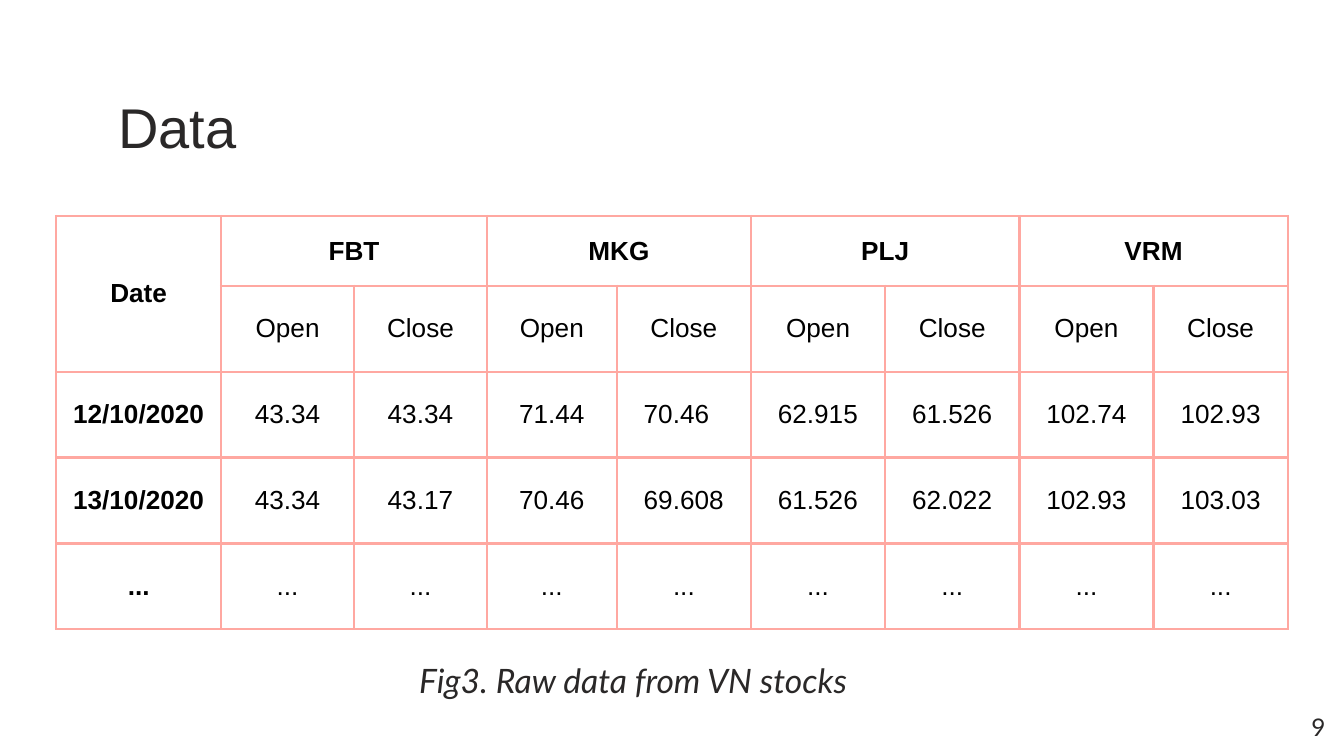
import dataclasses

import lxml.etree
import pptx
import pptx.dml.color
import pptx.enum.text
import pptx.oxml.ns
import pptx.table
import pptx.util

Pt = pptx.util.Pt
Align = pptx.enum.text.PP_ALIGN
Anchor = pptx.enum.text.MSO_ANCHOR

COLORS = {"ink": "2A2828", "black": "000000", "white": "FFFFFF", "border": "FFA8A1"}
COLUMN_WIDTHS = [88.4, 71.2, 71.2, 69.6] + [71.9] * 5
ROW_HEIGHTS = [37.5] + [46] * 4
STOCKS = ["FBT", "MKG", "PLJ", "VRM"]
LEFT_ALIGNED_COLUMNS = (4, 5, 6)
PRICES = [
    ["12/10/2020", "43.34", "43.34", "71.44", "70.46", "62.915", "61.526", "102.74", "102.93"],
    ["13/10/2020", "43.34", "43.17", "70.46", "69.608", "61.526", "62.022", "102.93", "103.03"],
]


@dataclasses.dataclass
class Style:
    size: float
    font: str
    color: str
    bold: bool = False
    italic: bool = False


@dataclasses.dataclass
class Label:
    text: str
    left: float
    top: float
    width: float
    height: float
    style: Style
    align: Align = Align.LEFT
    anchor: Anchor = Anchor.TOP
    line_spacing: float = 1.0
    space_after: float = 0


LABELS = [
    Label("Data", 56.2, 42.5, 304.6, 43.2, Style(30, "Arial", "ink")),
    Label("Fig3. Raw data from VN stocks ", 167.8, 343.4, 347, 36,
          Style(18, "Lato", "ink", italic=True), Align.CENTER, line_spacing=1.15, space_after=16),
    Label("9", 673.9, 373.7, 43.2, 31, Style(13, "Lato", "ink"), Align.RIGHT, Anchor.MIDDLE),
]


def rgb(name: str) -> pptx.dml.color.RGBColor:
    """Return the named colour."""
    return pptx.dml.color.RGBColor.from_string(COLORS[name])


def add_run(paragraph, text: str, style: Style) -> None:
    """Add one styled run to a paragraph."""
    run = paragraph.add_run()
    run.text = text
    run.font.size = Pt(style.size)
    run.font.name = style.font
    run.font.bold = style.bold
    run.font.italic = style.italic
    run.font.color.rgb = rgb(style.color)


def add_label(slide, label: Label) -> None:
    """Add a text box to the slide."""
    shape = slide.shapes.add_textbox(
        Pt(label.left), Pt(label.top), Pt(label.width), Pt(label.height))
    frame = shape.text_frame
    frame.word_wrap = True
    frame.vertical_anchor = label.anchor
    frame.margin_left = frame.margin_right = Pt(7.2)
    frame.margin_top = frame.margin_bottom = Pt(7.2)
    paragraph = frame.paragraphs[0]
    paragraph.alignment = label.align
    paragraph.line_spacing = label.line_spacing
    paragraph.space_after = Pt(label.space_after)
    add_run(paragraph, label.text, label.style)


def format_cell(cell: pptx.table._Cell, side_margin: float) -> None:
    """Give a cell its borders, fill and margins."""
    properties = cell._tc.get_or_add_tcPr()
    qualified = pptx.oxml.ns.qn
    for side in ("a:lnL", "a:lnR", "a:lnT", "a:lnB"):
        line = lxml.etree.SubElement(properties, qualified(side), w=str(Pt(1.5)))
        fill = lxml.etree.SubElement(line, qualified("a:solidFill"))
        lxml.etree.SubElement(fill, qualified("a:srgbClr"), val=COLORS["border"])
    cell.fill.solid()
    cell.fill.fore_color.rgb = rgb("white")
    cell.vertical_anchor = Anchor.MIDDLE
    cell.margin_left = cell.margin_right = Pt(side_margin)
    cell.margin_top = cell.margin_bottom = Pt(7.2)


def add_price_table(slide) -> None:
    """Add the table of opening and closing prices."""
    stock_row = ["Date"]
    for stock in STOCKS:
        stock_row += [stock, ""]
    rows = [stock_row, [""] + ["Open", "Close"] * len(STOCKS), *PRICES,
            ["..."] * len(COLUMN_WIDTHS)]
    table = slide.shapes.add_table(
        len(rows), len(COLUMN_WIDTHS), Pt(30.1), Pt(115.7),
        Pt(sum(COLUMN_WIDTHS)), Pt(sum(ROW_HEIGHTS))).table
    table.first_row = table.horz_banding = False
    for column, width in zip(table.columns, COLUMN_WIDTHS):
        column.width = Pt(width)
    for row, height in zip(table.rows, ROW_HEIGHTS):
        row.height = Pt(height)
    for row_index, texts in enumerate(rows):
        for column_index, text in enumerate(texts):
            cell = table.cell(row_index, column_index)
            format_cell(cell, 14.4 if column_index else 7.2)
            paragraph = cell.text_frame.paragraphs[0]
            is_left = texts in PRICES and column_index in LEFT_ALIGNED_COLUMNS
            paragraph.alignment = Align.LEFT if is_left else Align.CENTER
            if text:
                is_header = row_index == 0 or column_index == 0
                add_run(paragraph, text, Style(14, "Arial", "black", bold=is_header))
    table.cell(0, 0).merge(table.cell(1, 0))
    for column_index in range(1, len(COLUMN_WIDTHS), 2):
        table.cell(0, column_index).merge(table.cell(0, column_index + 1))


def main() -> None:
    """Build and save the presentation."""
    presentation = pptx.Presentation()
    presentation.slide_width = Pt(720)
    presentation.slide_height = Pt(405)
    slide = presentation.slides.add_slide(presentation.slide_layouts[6])
    slide.background.fill.solid()
    slide.background.fill.fore_color.rgb = rgb("white")
    add_price_table(slide)
    for label in LABELS:
        add_label(slide, label)
    presentation.save("out.pptx")


if __name__ == "__main__":
    main()
